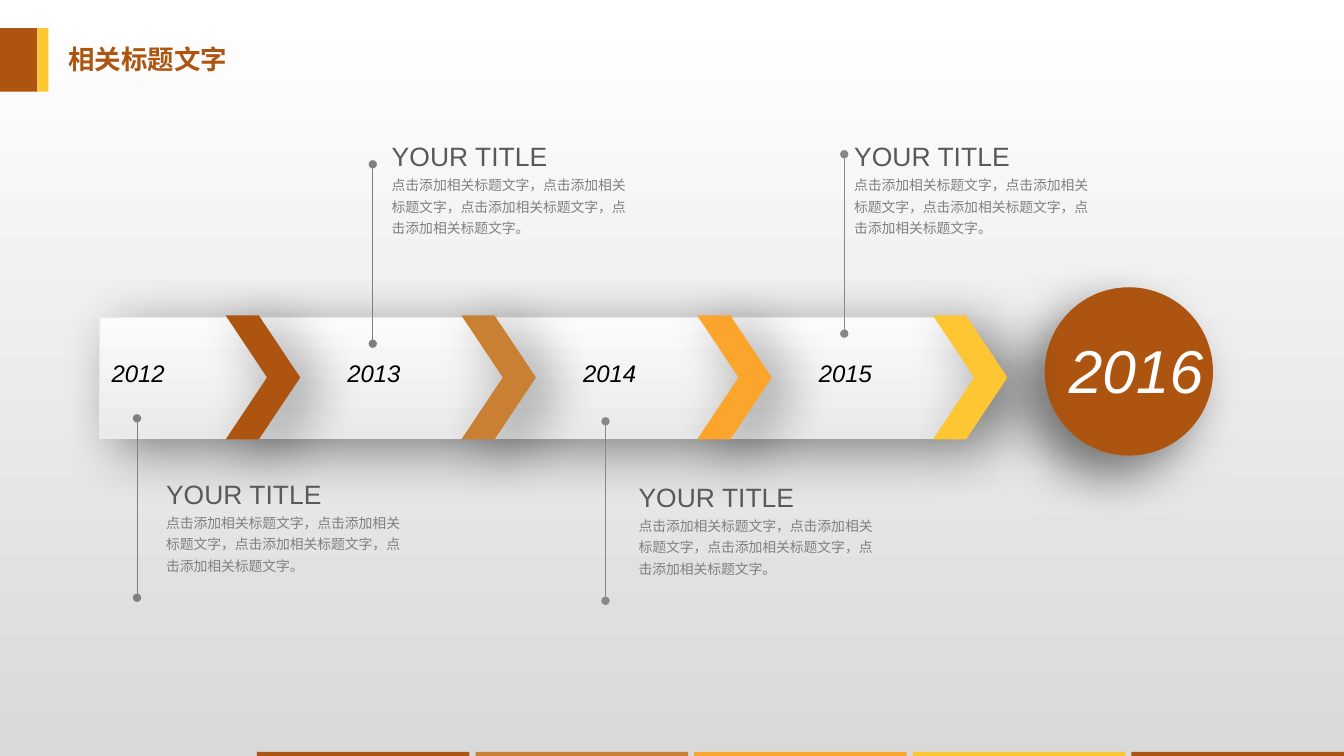
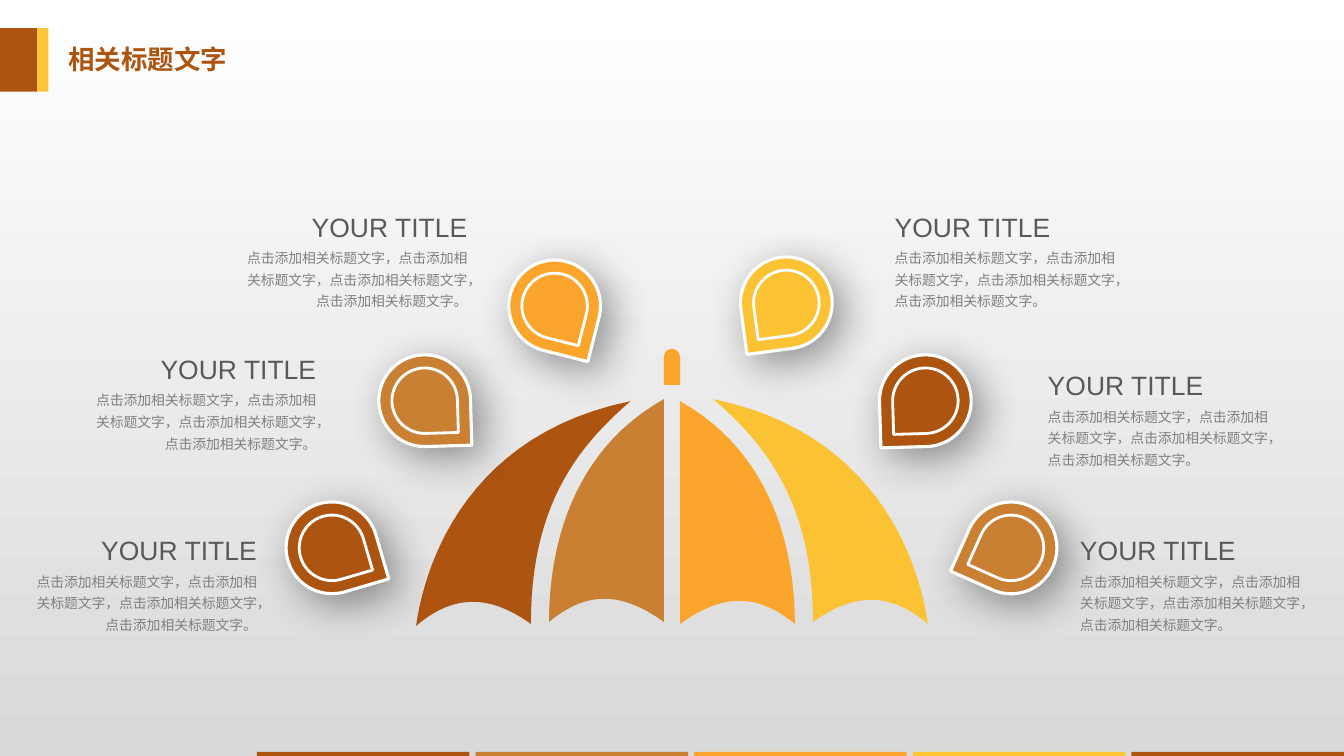
"""Build a timeline slide and an umbrella slide in one warm style."""
from dataclasses import dataclass

from lxml import etree
from pptx import Presentation
from pptx import util as u
from pptx.dml.color import RGBColor
from pptx.enum import shapes, text
from pptx.oxml.ns import qn

PX = 9144
KIND = shapes.MSO_SHAPE
LEFT, RIGHT = text.PP_ALIGN.LEFT, text.PP_ALIGN.RIGHT
HEADING = "相关标题文字"
CAPTION = "YOUR TITLE"
BODY = "，".join(["点击添加相关标题文字"] * 4) + "。"


@dataclass(frozen=True)
class Theme:
    font: str = "Arial"
    rust: str = "AD5410"
    copper: str = "C98033"
    orange: str = "FCA52C"
    gold: str = "FFC633"
    amber: str = "FBC233"
    white: str = "FFFFFF"
    black: str = "000000"
    dark: str = "595959"
    grey: str = "808080"
    light_grey: str = "888888"
    pale: str = "EAEAEA"
    backdrop: tuple = ("FFFFFF", "D9D9D9")
    ribbon: tuple = ("FBFBFB", "EAEAEA")
    title_size: float = 18.9
    body_size: float = 9.9
    year_size: float = 17.1
    goal_size: float = 43.2


@dataclass(frozen=True)
class Shadow:
    opacity: int
    blur: int
    distance: int
    angle: int


THEME = Theme()
SERIES = (THEME.rust, THEME.copper, THEME.orange, THEME.gold)
RIBBON_SHADOW = Shadow(43, 40, 14, 31)
GOAL_SHADOW = Shadow(50, 35, 20, 135)
DROP_SHADOW = Shadow(40, 30, 10, 45)


def rgb(colour):
    return RGBColor.from_string(colour)


def apply_fill(fill, colour):
    if isinstance(colour, str):
        fill.solid()
        fill.fore_color.rgb = rgb(colour)
        return
    fill.gradient()
    fill.gradient_angle = 270
    for stop, shade in zip(fill.gradient_stops, colour):
        stop.color.rgb = rgb(shade)


def apply_shadow(shape, shadow):
    effects = shape._element.spPr.find(qn("a:effectLst"))
    outer = etree.SubElement(
        effects, qn("a:outerShdw"), blurRad=str(u.Pt(shadow.blur)),
        dist=str(u.Pt(shadow.distance)), dir=str(shadow.angle * 60000),
        algn="ctr", rotWithShape="0")
    colour = etree.SubElement(outer, qn("a:srgbClr"), val=THEME.black)
    etree.SubElement(colour, qn("a:alpha"), val=str(shadow.opacity * 1000))


def write(frame, content, *, size, colour, bold=False, italic=False,
          align=LEFT, spacing=None):
    paragraph = frame.paragraphs[0]
    if paragraph.runs:
        paragraph = frame.add_paragraph()
    paragraph.alignment = align
    if spacing:
        paragraph.line_spacing = spacing
    run = paragraph.add_run()
    run.text = content
    font = run.font
    font.name, font.size = THEME.font, u.Pt(size)
    font.bold, font.italic = bold, italic
    font.color.rgb = rgb(colour)


def write_caption(frame, align=LEFT):
    write(frame, CAPTION, size=THEME.title_size, colour=THEME.dark, align=align)


def write_body(frame, align=LEFT):
    write(frame, BODY, size=THEME.body_size, colour=THEME.grey,
          align=align, spacing=1.3)


def curve_points(start, control_1, control_2, end, steps=24):
    for step in range(1, steps + 1):
        t = step / steps
        weights = ((1 - t) ** 3, 3 * t * (1 - t) ** 2, 3 * t * t * (1 - t), t ** 3)
        knots = (start, control_1, control_2, end)
        yield tuple(sum(w * knot[axis] for w, knot in zip(weights, knots))
                    for axis in (0, 1))


class Deck:
    def __init__(self):
        self.presentation = Presentation()
        self.presentation.slide_width = 1334 * PX
        self.presentation.slide_height = 750 * PX
        self.slide = None

    def new_slide(self, heading):
        layout = self.presentation.slide_layouts[6]
        self.slide = self.presentation.slides.add_slide(layout)
        apply_fill(self.slide.background.fill, THEME.backdrop)
        self.shape(KIND.RECTANGLE, 37, 28, 11, 63, THEME.gold)
        self.shape(KIND.RECTANGLE, 0, 28, 37, 63, THEME.rust)
        for index, colour in enumerate(SERIES + (THEME.rust,)):
            self.shape(KIND.RECTANGLE, 255 + 217 * index, 746, 211, 4, colour)
        write(self.text_frame(58, 38, 197, 42), heading,
              size=THEME.title_size, colour=THEME.rust, bold=True)

    def paint(self, shape, fill, line=None, weight=1, shadow=None):
        apply_fill(shape.fill, fill)
        if line:
            shape.line.color.rgb = rgb(line)
            shape.line.width = u.Pt(weight)
        else:
            shape.line.fill.background()
        shape.shadow.inherit = False
        if shadow:
            apply_shadow(shape, shadow)

    def shape(self, kind, left, top, width, height, fill, *,
              adjustments=(), rotation=0, **style):
        shape = self.slide.shapes.add_shape(
            kind, left * PX, top * PX, width * PX, height * PX)
        for index, value in enumerate(adjustments):
            shape.adjustments[index] = value
        shape.rotation = rotation
        self.paint(shape, fill, **style)

    def outline(self, start, segments, fill):
        points, current = [], start
        for segment in segments:
            points.extend(curve_points(current, *segment))
            current = segment[-1]
        builder = self.slide.shapes.build_freeform(
            round(start[0] * PX), round(start[1] * PX))
        builder.add_line_segments(
            [(round(x * PX), round(y * PX)) for x, y in points], close=True)
        self.paint(builder.convert_to_shape(), fill)

    def text_frame(self, left, top, width, height, *, wrap=True, inset=(10, 5)):
        box = self.slide.shapes.add_textbox(
            left * PX, top * PX, width * PX, height * PX)
        frame = box.text_frame
        frame.word_wrap = wrap
        frame.auto_size = text.MSO_AUTO_SIZE.SHAPE_TO_FIT_TEXT
        frame.margin_left = frame.margin_right = inset[0] * PX
        frame.margin_top = frame.margin_bottom = inset[1] * PX
        return frame

    def stem(self, x, top, length, colour):
        line = self.slide.shapes.add_connector(
            shapes.MSO_CONNECTOR.STRAIGHT, x * PX, top * PX,
            x * PX, (top + length) * PX)
        line.line.color.rgb = rgb(colour)
        line.line.width = u.Pt(0.5)
        properties = line._element.spPr
        for end in ("a:headEnd", "a:tailEnd"):
            etree.SubElement(properties.find(qn("a:ln")), qn(end), type="oval")
        etree.SubElement(properties, qn("a:effectLst"))

    def drop(self, left, top, rotation, colour):
        self.shape(KIND.TEAR, left, top, 91, 91, colour, rotation=rotation,
                   line=THEME.white, weight=2.25, shadow=DROP_SHADOW)
        self.shape(KIND.TEAR, left + 13, top + 13, 65, 65, colour,
                   rotation=rotation, line=THEME.white, weight=2)


def build_timeline(deck):
    deck.new_slide(HEADING)
    deck.shape(KIND.OVAL, 1037, 285, 167, 167, THEME.rust, shadow=GOAL_SHADOW)
    write(deck.text_frame(1051, 326, 155, 83, wrap=False), "2016",
          size=THEME.goal_size, colour=THEME.white, italic=True)
    deck.shape(KIND.PENTAGON, 99, 315, 877, 120, THEME.ribbon, adjustments=[0.4],
               line=THEME.pale, weight=0.75, shadow=RIBBON_SHADOW)
    for index, colour in enumerate(SERIES):
        offset = 234 * index
        deck.shape(KIND.CHEVRON, 224 + offset, 313, 74, 123, colour,
                   adjustments=[0.555], shadow=RIBBON_SHADOW)
        write(deck.text_frame(101 + offset, 351, 73, 39, wrap=False),
              str(2012 + index), size=THEME.year_size, colour=THEME.black,
              italic=True)
    callouts = (
        (136, 415, THEME.grey, 155, 469),
        (370, 163, THEME.grey, 379, 134),
        (601, 418, THEME.light_grey, 624, 472),
        (838, 153, THEME.light_grey, 838, 134),
    )
    for x, stem_top, colour, left, top in callouts:
        deck.stem(x, stem_top, 178, colour)
        frame = deck.text_frame(left, top, 253, 107)
        write_caption(frame)
        write_body(frame)


def build_umbrella(deck):
    deck.new_slide(HEADING)
    outer = ((708, 396), (
        ((865, 428), (911, 549), (921, 619)),
        ((881, 585), (845, 590), (807, 617)),
        ((807, 503), (764, 444), (708, 396))))
    inner = ((675, 396), (
        ((768, 448), (789, 546), (789, 617)),
        ((748, 583), (713, 590), (675, 617))))
    panels = ((outer, 1, 0, THEME.amber), (inner, 1, 2, THEME.orange),
              (inner, -1, 0, THEME.copper), (outer, -1, 2, THEME.rust))
    for (start, segments), side, drop, colour in panels:
        def place(point):
            return 667 + side * (point[0] - 667), point[1] + drop
        deck.outline(place(start),
                     [[place(point) for point in segment] for segment in segments],
                     colour)
    deck.shape(KIND.ROUND_2_SAME_RECTANGLE, 659, 346, 16, 36, THEME.orange,
               adjustments=[0.5, 0])
    topics = (
        (284, 498, 73.7, THEME.rust, 12, 523, RIGHT),
        (376, 352, 88.3, THEME.copper, 71, 343, RIGHT),
        (505, 258, 104.2, THEME.orange, 221, 202, RIGHT),
        (735, 255, 172.4, THEME.amber, 874, 202, LEFT),
        (873, 352, 178.3, THEME.rust, 1026, 359, LEFT),
        (958, 498, 204, THEME.copper, 1058, 523, LEFT),
    )
    for drop_left, drop_top, rotation, colour, left, top, align in topics:
        deck.drop(drop_left, drop_top, rotation, colour)
        write_body(deck.text_frame(left, top + 34, 257, 79, inset=(14, 7)), align)
        write_caption(deck.text_frame(left, top, 257, 46, inset=(14, 7)), align)


def main():
    deck = Deck()
    build_timeline(deck)
    build_umbrella(deck)
    deck.presentation.save("out.pptx")


if __name__ == "__main__":
    main()
